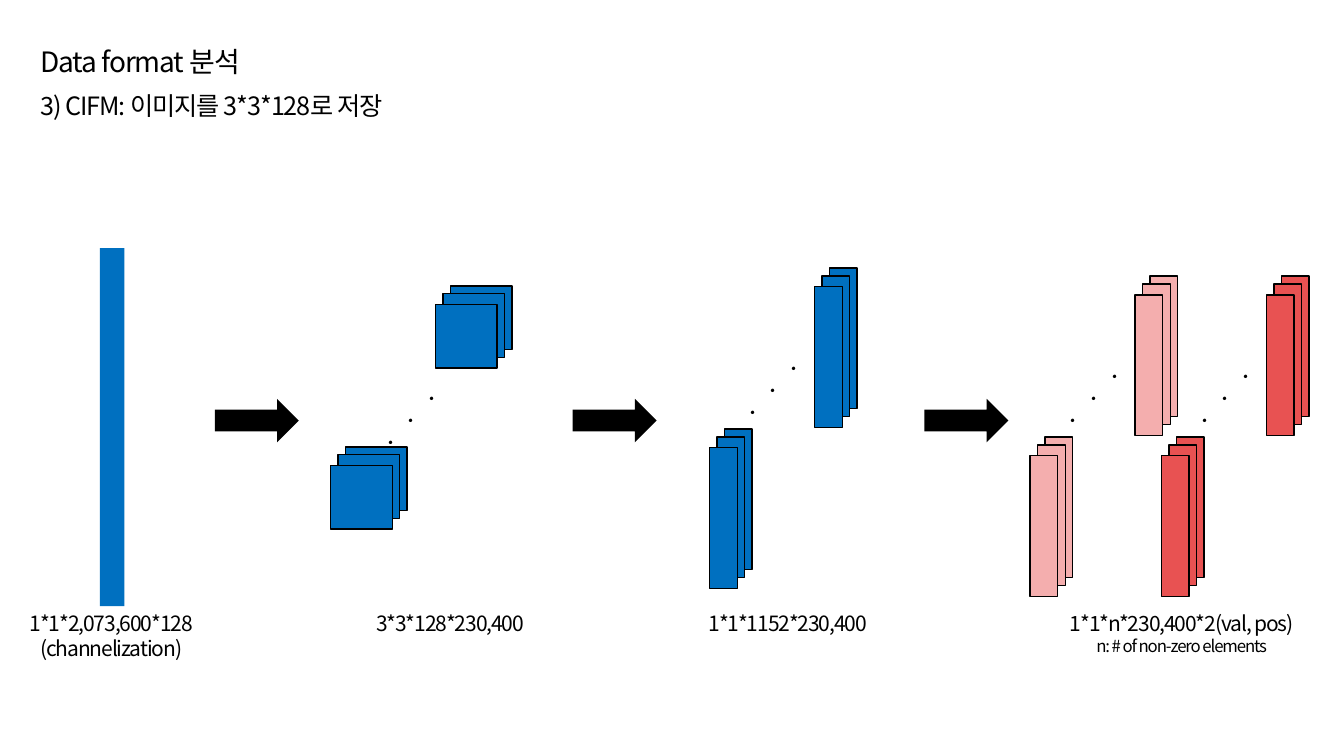
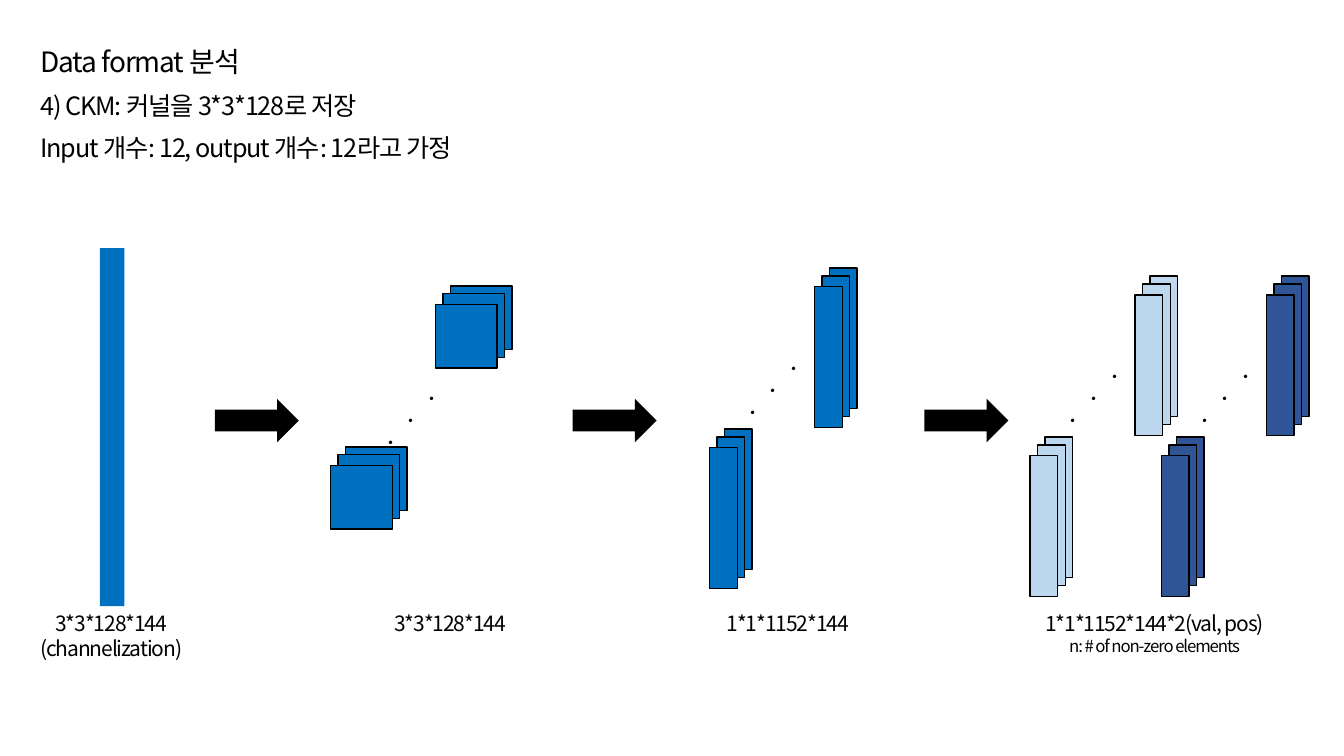
import pptx
import pptx.dml.color
import pptx.enum.shapes
import pptx.enum.text
import pptx.oxml
import pptx.oxml.ns
import pptx.util

Pt = pptx.util.Pt
RGB = pptx.dml.color.RGBColor
KIND = pptx.enum.shapes.MSO_SHAPE
ALIGN = pptx.enum.text.PP_ALIGN
FIT = pptx.enum.text.MSO_AUTO_SIZE
TOP = pptx.enum.text.MSO_ANCHOR.TOP

BLACK = RGB(0, 0, 0)
BLUE = RGB(0x00, 0x70, 0xC0)
PINK = RGB(0xF4, 0xAE, 0xAE)
RED = RGB(0xE8, 0x52, 0x52)
PALE = RGB(0xBD, 0xD7, 0xEE)
NAVY = RGB(0x2F, 0x55, 0x97)

SQUARE = (44, 45.5)
BAR = (19.8, 100.4)
STEP = (75, -115)                               # near stack to far stack
LAYERS = ((10.6, -13.3), (5.3, -7.7), (0, 0))   # back to front
FLOW_Y = 284.9
LABEL_Y = 432.7


class Deck:
    """Style and current slide of the presentation."""

    font = "Noto Sans CJK KR"
    look = {"name": font, "bold": False}
    frame = {"word_wrap": True, "auto_size": FIT.SHAPE_TO_FIT_TEXT,
             "vertical_anchor": TOP,
             "margin_left": Pt(7.2), "margin_right": Pt(7.2),
             "margin_top": Pt(3.6), "margin_bottom": Pt(3.6)}

    def __init__(self):
        """Start a wide presentation."""
        self.prs = pptx.Presentation()
        self.prs.slide_width, self.prs.slide_height = Pt(960), Pt(540)

    def place(self, shape, x, y, w, h):
        """Move and size a shape."""
        spot = {"left": x, "top": y, "width": w, "height": h}
        for key, val in spot.items():
            setattr(shape, key, Pt(val))

    def fill(self, shape, lines, align, after=0):
        """Fill a shape with (text, size) lines."""
        text = shape.text_frame
        for key, val in self.frame.items():
            setattr(text, key, val)
        text.text = "\n".join(line for line, _ in lines)
        rules = {"alignment": align, "line_spacing": 1.0,
                 "space_before": Pt(0), "space_after": Pt(after)}
        for par, (_, size) in zip(text.paragraphs, lines):
            for key, val in rules.items():
                setattr(par, key, val)
            run = par.runs[0]
            for key, val in {**self.look, "size": Pt(size)}.items():
                setattr(run.font, key, val)
            run.font.color.rgb = BLACK
            props = run._r.get_or_add_rPr()
            props.set("spc", "-80")
            east = pptx.oxml.parse_xml(
                f'<a:ea {pptx.oxml.ns.nsdecls("a")} typeface="{self.font}"/>')
            props.find(pptx.oxml.ns.qn("a:latin")).addnext(east)

    def head(self, title, notes):
        """Add a slide with its title and the lines below it."""
        self.slide = self.prs.slides.add_slide(self.prs.slide_layouts[1])
        name, body = self.slide.placeholders
        self.place(name, 21.6, 28.1, 818, 32)
        self.fill(name, [(title, 20)], ALIGN.JUSTIFY, 8.5)
        self.place(body, 21.6, 60.7, 818, 31 * len(notes))
        self.fill(body, [(note, 18) for note in notes], ALIGN.JUSTIFY, 8.5)
        for par in body.text_frame.paragraphs:
            props = par._p.get_or_add_pPr()
            for key in ("marL", "indent"):
                props.set(key, "0")
            props.append(pptx.oxml.parse_xml(
                f'<a:buNone {pptx.oxml.ns.nsdecls("a")}/>'))

    def text(self, x, y, w, h, lines):
        """Add a centred text box."""
        box = self.slide.shapes.add_textbox(Pt(x), Pt(y), Pt(w), Pt(h))
        self.fill(box, lines, ALIGN.CENTER)
        return box

    def block(self, x, y, w, h, fill, line=None, kind=KIND.RECTANGLE):
        """Add a filled shape, outlined if a line colour is given."""
        shape = self.slide.shapes.add_shape(kind, Pt(x), Pt(y), Pt(w), Pt(h))
        shape.shadow.inherit = False
        shape.fill.solid()
        shape.fill.fore_color.rgb = fill
        if line is None:
            shape.line.fill.background()
        else:
            shape.line.color.rgb = line
            shape.line.width = Pt(1)

    def arrow(self, x):
        """Add a flow arrow."""
        self.block(x, FLOW_Y, 60, 31, BLACK, kind=KIND.RIGHT_ARROW)

    def pair(self, x, y, size, fill, dots):
        """Add a near and a far stack with dots between them."""
        for far in (1, 0):
            for dx, dy in LAYERS:
                self.block(x + far * STEP[0] + dx, y + far * STEP[1] + dy,
                           *size, fill, BLACK)
        dx, dy, w, h = dots
        box = self.text(x + dx, y + dy, w, h, [(".", 18)] * 3)
        box.rotation = 43.4

    def label(self, x, w, *lines):
        """Add a caption under a stage."""
        self.text(x, LABEL_Y, w, 4 + 20 * len(lines), lines)


def draw(deck, notes, labels, last, light, dark):
    """Draw one slide of the four-stage flow."""
    deck.head("Data format 분석", notes)
    deck.block(71.4, 177.3, 17.5, 255.6, BLUE)
    deck.pair(236.2, 332.5, SQUARE, BLUE, (43.2, -72.6, 36.7, 72.7))
    for x, y, fill in ((506.8, 319.9, BLUE), (735.8, 325.6, light),
                       (829.6, 325.6, dark)):
        deck.pair(x, y, BAR, fill, (45.4, -80, 16.6, 58.3))
    for x in (153.4, 409, 660.3):
        deck.arrow(x)
    first, second, third, fourth = labels
    deck.label(-13, 185, (first, 15), ("(channelization)", 15))
    deck.label(229, 185, (second, 15))
    deck.label(470.2, 185, (third, 15))
    deck.label(*last, (fourth, 15), ("n: # of non-zero elements", 12))


deck = Deck()
draw(deck, ["3) CIFM: 이미지를 3*3*128로 저장"],
     ["1*1*2,073,600*128", "3*3*128*230,400", "1*1*1152*230,400",
      "1*1*n*230,400*2(val, pos)"], (751.7, 185), PINK, RED)
draw(deck, ["4) CKM: 커널을 3*3*128로 저장",
            "Input 개수: 12, output 개수: 12라고 가정"],
     ["3*3*128*144", "3*3*128*144", "1*1*1152*144",
      "1*1*1152*144*2(val, pos)"], (712.1, 225.4), PALE, NAVY)
deck.prs.save("out.pptx")
